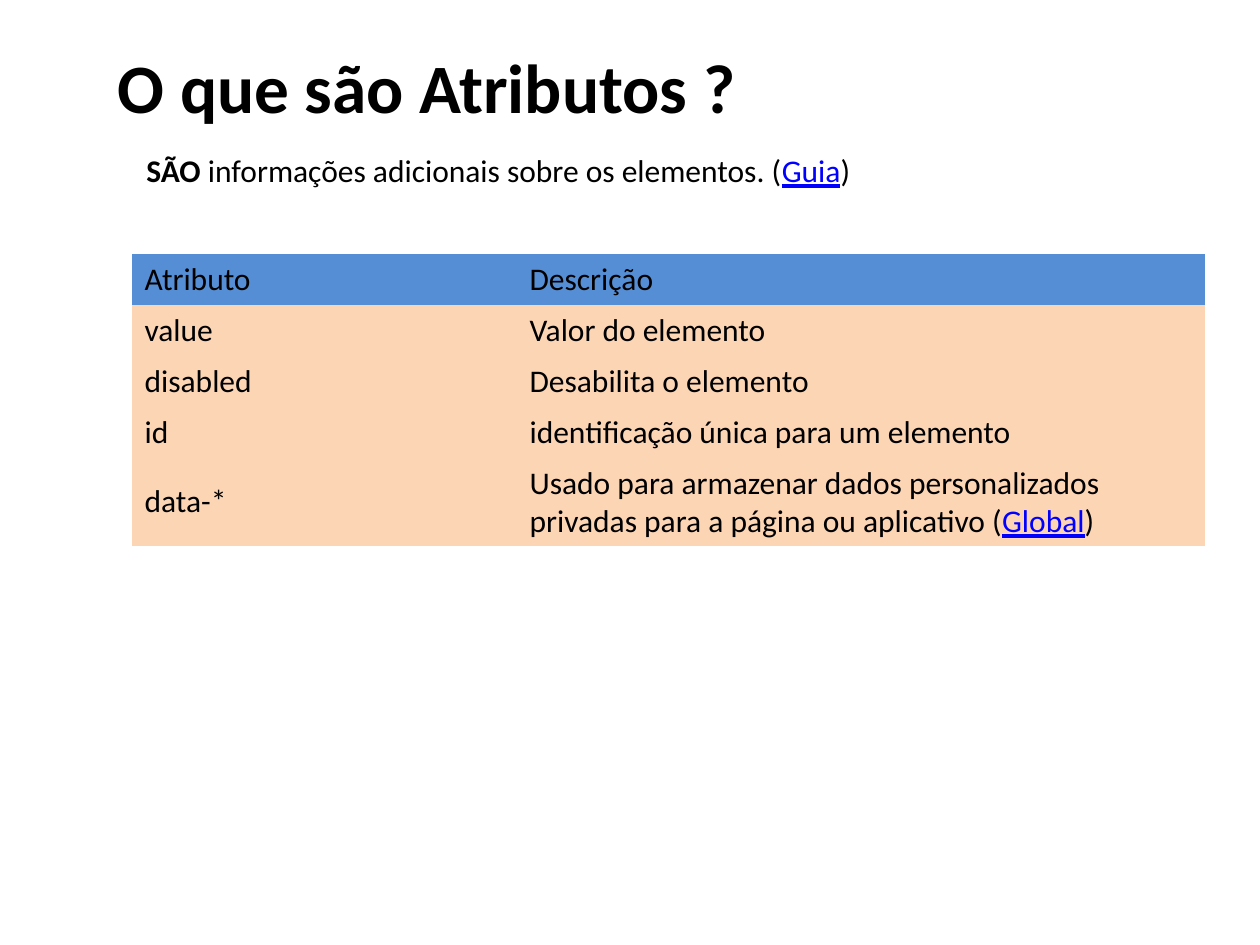
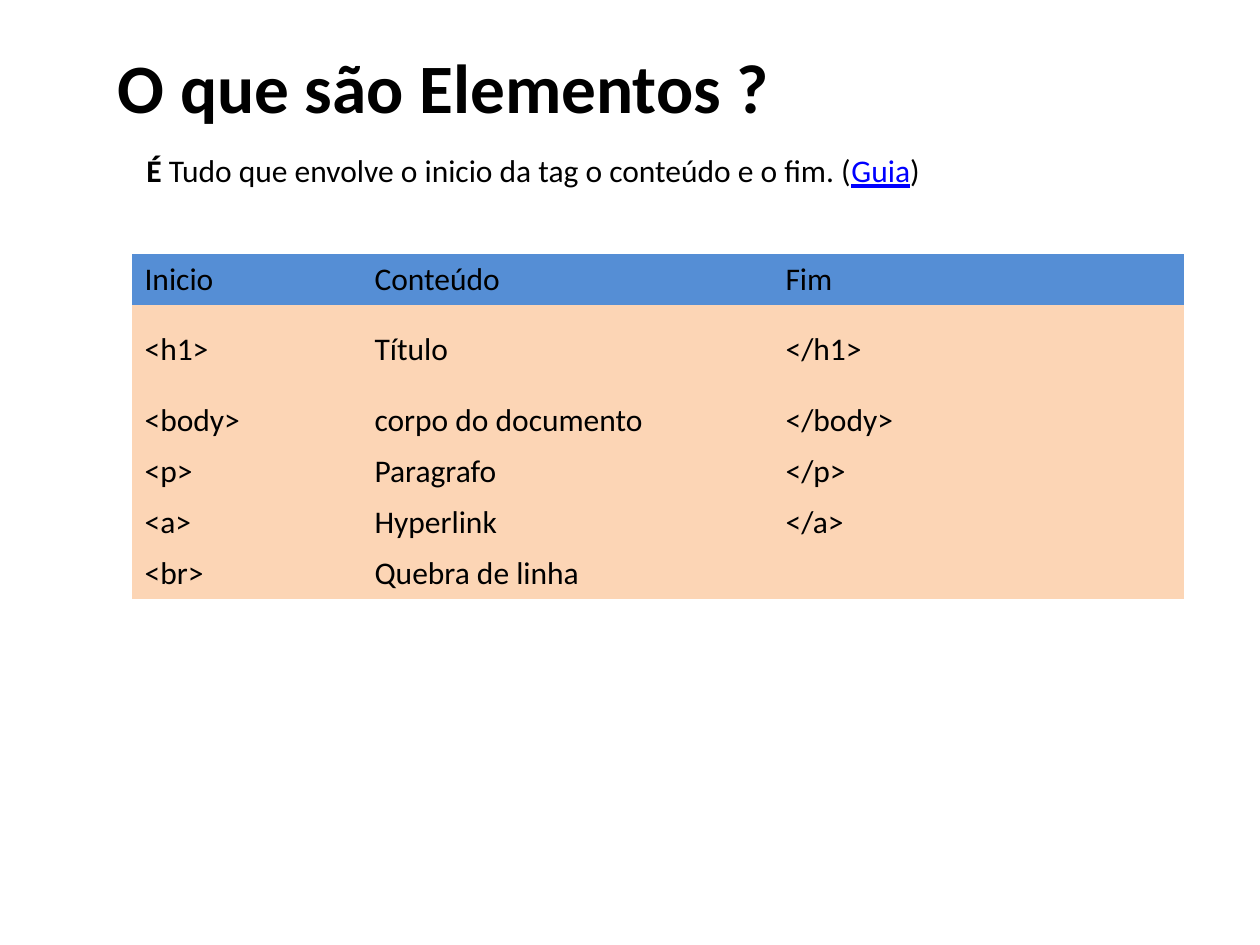
from pptx import Presentation
from pptx import util as u
from pptx.dml.color import RGBColor
from pptx.enum import text as t
from pptx.oxml.ns import qn

PAGES = [
    {
        "title": "O que são Atributos ?",
        "intro": [("SÃO ", "bold"), ("informações adicionais sobre os elementos. (", "plain"),
                  ("Guia", "link"), (")", "plain")],
        "cols": [385, 688],
        "rows": [51, 51, 51, 51, 88],
        "cells": [
            ("Atributo", "Descrição"),
            ("value", "Valor do elemento"),
            ("disabled", "Desabilita o elemento"),
            ("id", "identificação única para um elemento"),
            ("data-*", [("Usado para armazenar dados personalizados privadas "
                         "para a página ou aplicativo (", "plain"),
                        ("Global", "link"), (")", "plain")]),
        ],
    },
    {
        "title": "O que são Elementos ?",
        "intro": [("É ", "bold"),
                  ("Tudo que envolve o inicio da tag o conteúdo e o fim. (", "plain"),
                  ("Guia", "link"), (")", "plain")],
        "cols": [230, 411, 411],
        "rows": [51, 90, 51, 51, 51, 51],
        "cells": [
            ("Inicio", "Conteúdo", "Fim"),
            ("<h1>", "Título", "</h1>"),
            ("<body>", "corpo do documento", "</body>"),
            ("<p>", "Paragrafo", "</p>"),
            ("<a>", "Hyperlink", "</a>"),
            ("<br>", "Quebra de linha", ""),
        ],
    },
]

HUES = {"ink": "000000", "link": "0000FF", "head": "558ED5", "row": "FCD5B5"}
BASE = {"name": "Calibri", "size": u.Pt(18), "bold": False, "underline": False}
LOOKS = {
    "plain": (BASE, "ink"),
    "bold": (BASE | {"bold": True}, "ink"),
    "link": (BASE | {"underline": True}, "link"),
    "title": (BASE | {"bold": True, "size": u.Pt(39.6)}, "ink"),
}
TITLE = (105, 36, 1113, 100)
INTRO = (134, 145, 1032, 50)
TABLE = (132, 254)
PLAIN_GRID = "{2D5ABB26-0587-4C30-8999-92F81FD0307C}"


def px(n):
    return round(n * 914400 / 126)


def put(item, values):
    for key, value in values.items():
        setattr(item, key, value)


def write(frame, runs):
    para = frame.paragraphs[0]
    para.alignment = t.PP_ALIGN.LEFT
    for words, look in runs:
        run = para.add_run()
        run.text = words
        values, hue = LOOKS[look]
        put(run.font, values)
        run.font.color.rgb = RGBColor.from_string(HUES[hue])


def add_title(slide, words):
    title = slide.shapes.title
    put(title, dict(zip(("left", "top", "width", "height"), map(px, TITLE))))
    put(title.text_frame, {"auto_size": t.MSO_AUTO_SIZE.NONE, "word_wrap": True,
                           "vertical_anchor": t.MSO_ANCHOR.MIDDLE})
    write(title.text_frame, [(words, "title")])


def add_intro(slide, runs):
    box = slide.shapes.add_textbox(*map(px, INTRO))
    put(box.text_frame, {"word_wrap": True, "auto_size": t.MSO_AUTO_SIZE.SHAPE_TO_FIT_TEXT})
    write(box.text_frame, runs)


def add_grid(slide, cols, rows, cells):
    size = sum(cols), sum(rows)
    frame = slide.shapes.add_table(len(rows), len(cols), *map(px, TABLE + size))
    grid = frame.table
    put(grid, {"first_row": False, "horz_banding": False})
    for style in frame.element.iter(qn("a:tableStyleId")):
        style.text = PLAIN_GRID
    for col, wide in zip(grid.columns, cols):
        col.width = px(wide)
    for r, (row, high) in enumerate(zip(grid.rows, rows)):
        row.height = px(high)
        for cell, words in zip(row.cells, cells[r]):
            cell.vertical_anchor = t.MSO_ANCHOR.MIDDLE
            cell.fill.solid()
            cell.fill.fore_color.rgb = RGBColor.from_string(HUES["row" if r else "head"])
            if words:
                write(cell.text_frame, [(words, "plain")] if isinstance(words, str) else words)


def main():
    deck = Presentation()
    put(deck, {"slide_width": px(1260), "slide_height": px(945)})
    for page in PAGES:
        slide = deck.slides.add_slide(deck.slide_layouts[5])
        add_title(slide, page["title"])
        add_intro(slide, page["intro"])
        add_grid(slide, page["cols"], page["rows"], page["cells"])
    deck.save("out.pptx")


if __name__ == "__main__":
    main()
